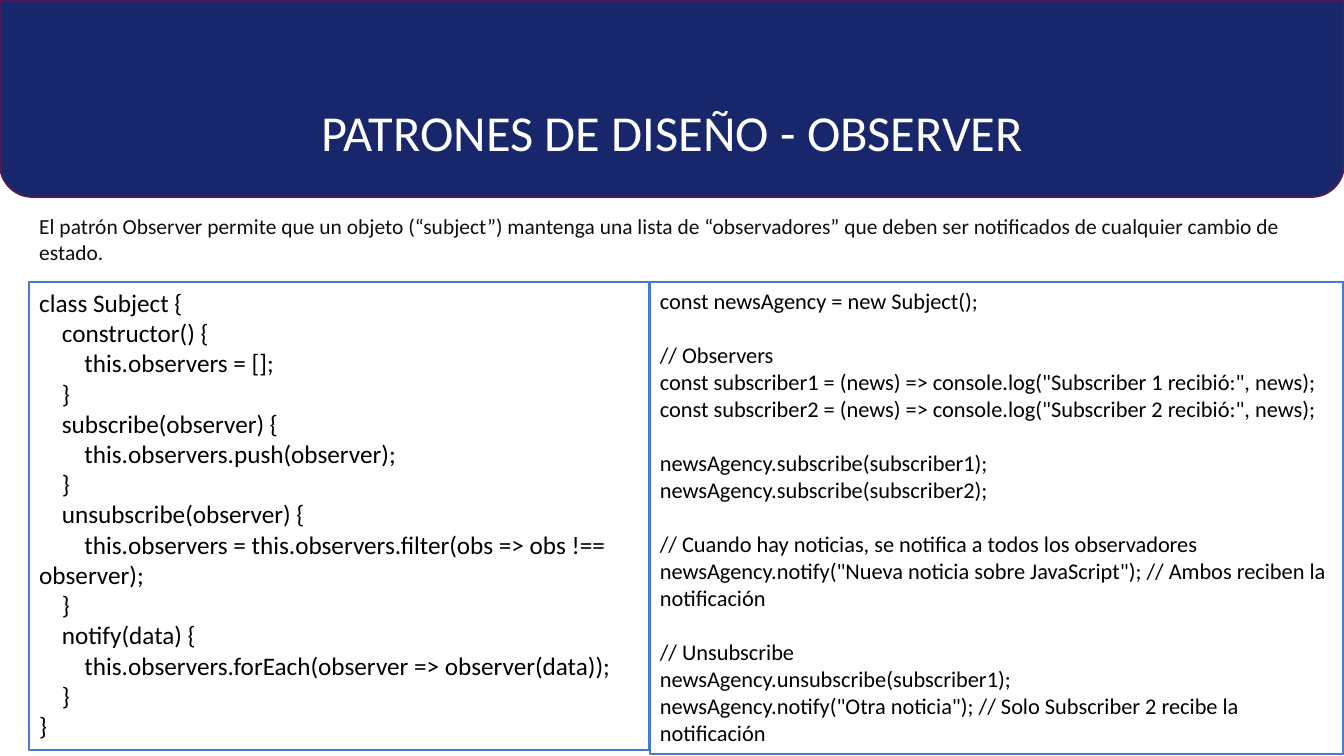
import pptx
import pptx.dml.color
import pptx.enum.shapes
import pptx.enum.text
import pptx.util

Cm = pptx.util.Cm
Pt = pptx.util.Pt
SHAPES = pptx.enum.shapes.MSO_SHAPE
ALIGN = pptx.enum.text.PP_ALIGN
ANCHOR = pptx.enum.text.MSO_ANCHOR

COLORS = {
    "banner": "18276C",
    "banner_line": "4B1B55",
    "panel": "FFFFFF",
    "panel_line": "477BD1",
    "title": "FFFFFF",
    "body": "0E0E0E",
    "code": "000000",
}
SPACES_PER_LEVEL = 4
LEVEL_INDENT = Cm(0.57)
LINE_HEIGHT = 1.22

SUBJECT_CODE = """class Subject {
    constructor() {
        this.observers = [];
    }
    subscribe(observer) {
        this.observers.push(observer);
    }
    unsubscribe(observer) {
        this.observers = this.observers.filter(obs => obs !== observer);
    }
    notify(data) {
        this.observers.forEach(observer => observer(data));
    }
}"""

USAGE_CODE = """const newsAgency = new Subject();

// Observers
const subscriber1 = (news) => console.log("Subscriber 1 recibió:", news);
const subscriber2 = (news) => console.log("Subscriber 2 recibió:", news);

newsAgency.subscribe(subscriber1);
newsAgency.subscribe(subscriber2);

// Cuando hay noticias, se notifica a todos los observadores
newsAgency.notify("Nueva noticia sobre JavaScript"); // Ambos reciben la notificación

// Unsubscribe
newsAgency.unsubscribe(subscriber1);
newsAgency.notify("Otra noticia"); // Solo Subscriber 2 recibe la notificación"""


def apply_format(target, values):
    for name, value in values.items():
        setattr(target, name, value)


def rgb(color):
    return pptx.dml.color.RGBColor.from_string(COLORS[color])


class SlideBuilder:
    def __init__(self, slide, font="Calibri"):
        self.slide = slide
        self.font = font

    def shape(self, kind, box, fill, line):
        shape = self.slide.shapes.add_shape(kind, *map(Cm, box))
        shape.shadow.inherit = False
        shape.fill.solid()
        shape.fill.fore_color.rgb = rgb(fill)
        shape.line.color.rgb = rgb(line)
        shape.line.width = Pt(1.5)
        return shape

    def fill_paragraph(self, paragraph, text, size, color, **layout):
        apply_format(paragraph, layout)
        run = paragraph.add_run()
        run.text = text
        apply_format(run.font, {"name": self.font, "size": Pt(size)})
        run.font.color.rgb = rgb(color)

    def text(self, box, text, size, color, **layout):
        frame = self.slide.shapes.add_textbox(*map(Cm, box)).text_frame
        apply_format(frame, {"word_wrap": True, "vertical_anchor": ANCHOR.MIDDLE})
        self.fill_paragraph(frame.paragraphs[0], text, size, color, **layout)

    def code_panel(self, box, code, size):
        """Draw a framed listing; empty lines become space before a paragraph."""
        frame = self.shape(SHAPES.RECTANGLE, box, "panel", "panel_line").text_frame
        apply_format(frame, {"word_wrap": True, "vertical_anchor": ANCHOR.TOP})
        for number, block in enumerate(code.split("\n\n")):
            for row, line in enumerate(block.split("\n")):
                first = number == row == 0
                paragraph = frame.paragraphs[0] if first else frame.add_paragraph()
                gap = size * LINE_HEIGHT if number and row == 0 else 0
                statement = line.lstrip()
                level = (len(line) - len(statement)) // SPACES_PER_LEVEL
                self.fill_paragraph(paragraph, statement, size, "code",
                                    alignment=ALIGN.LEFT, space_before=Pt(gap))
                properties = paragraph._p.get_or_add_pPr()
                properties.set("marL", "0")
                properties.set("indent", str(level * LEVEL_INDENT))


def main():
    presentation = pptx.Presentation()
    apply_format(presentation, {"slide_width": Cm(33.87), "slide_height": Cm(19.05)})
    builder = SlideBuilder(presentation.slides.add_slide(presentation.slide_layouts[6]))

    banner = builder.shape(SHAPES.ROUND_2_SAME_RECTANGLE, (0, 0.03, 33.87, 4.93),
                           "banner", "banner_line")
    banner.rotation = 180
    builder.text((2.87, 1.78, 28.14, 3.07), "PATRONES DE DISEÑO - OBSERVER",
                 36, "title", alignment=ALIGN.CENTER)
    builder.text((0.74, 5.41, 33.12, 1.24),
                 "El patrón Observer permite que un objeto (“subject”) mantenga una lista "
                 "de “observadores” que deben ser notificados de cualquier cambio de estado.",
                 15.3, "body", space_after=Pt(10))
    builder.code_panel((0.74, 7.11, 15.62, 11.79), SUBJECT_CODE, 18)
    builder.code_panel((16.38, 7.11, 17.48, 11.89), USAGE_CODE, 16)

    presentation.save("out.pptx")


if __name__ == "__main__":
    main()
